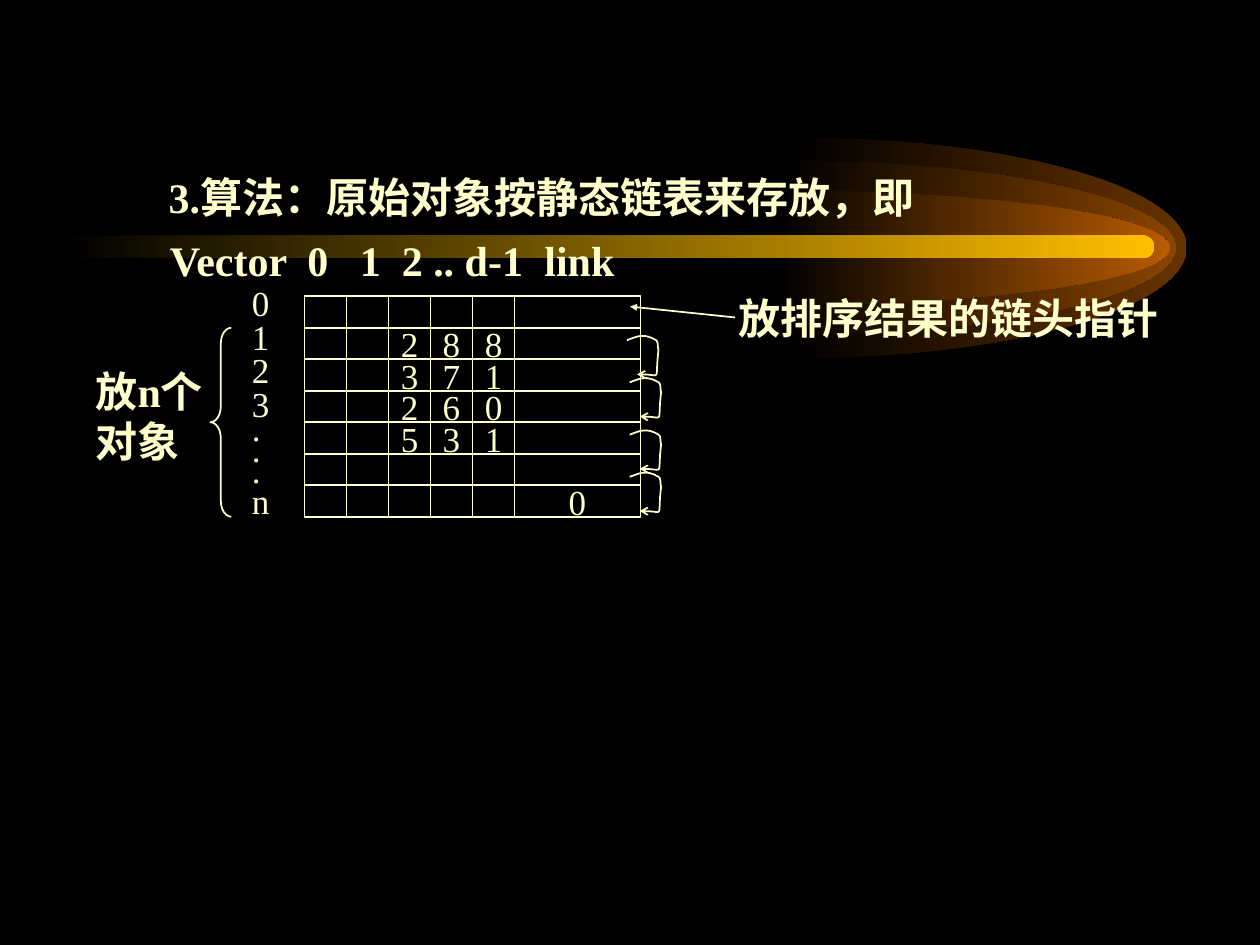
from lxml import etree
from pptx import Presentation
from pptx.dml.color import RGBColor
from pptx.enum.shapes import MSO_CONNECTOR, MSO_SHAPE
from pptx.enum.text import MSO_ANCHOR, MSO_AUTO_SIZE, PP_ALIGN
from pptx.oxml.ns import qn
from pptx.util import Pt

RECT = MSO_SHAPE.RECTANGLE
ROUNDED = MSO_SHAPE.ROUNDED_RECTANGLE
BRACE = MSO_SHAPE.LEFT_BRACE
STRAIGHT = MSO_CONNECTOR.STRAIGHT
GROW = MSO_AUTO_SIZE.SHAPE_TO_FIT_TEXT
MIDDLE = MSO_ANCHOR.MIDDLE
CENTER = PP_ALIGN.CENTER

FONT = "Times New Roman"
COLORS = {
    "back": "000000",
    "ink": "FFFFCC",
    "outer": "663300",
    "middle": "894400",
    "inner": "B75B00",
    "bar": "FFBF00",
}
COLORS = {name: RGBColor.from_string(value) for name, value in COLORS.items()}


def add_run(para, text, size, bold=False):
    span = para.add_run()
    span.text = text
    span.font.name = FONT
    span.font.size = Pt(size)
    span.font.bold = bold
    span.font.color.rgb = COLORS["ink"]


def add_curve(shapes, points, close):
    """Turn each three points after the first into a Bezier curve; a rest stays straight."""
    points = [(Pt(x), Pt(y)) for x, y in points]
    builder = shapes.build_freeform(*points[0])
    builder.add_line_segments(points[1:], close=close)
    shape = builder.convert_to_shape()
    shape.shadow.inherit = False
    lines = list(shape._element.iter(qn("a:lnTo")))
    for start in range(0, len(lines) - 2, 3):
        curve = etree.Element(qn("a:cubicBezTo"))
        lines[start].addprevious(curve)
        for line in lines[start:start + 3]:
            curve.append(line[0])
            line.getparent().remove(line)
    return shape


deck = Presentation()
deck.slide_width, deck.slide_height = Pt(720), Pt(540)
page = deck.slides.add_slide(deck.slide_layouts[6])
page.background.fill.solid()
page.background.fill.fore_color.rgb = COLORS["back"]
shapes = page.shapes
outlined = []

# Comet: three half ellipses and a bar, each fading in from black
comet = []
ROUND, AXIS, REACH = 0.55, 141.6, 225
for left, half, color in [(453, 63, "outer"), (447, 50, "middle"), (443.5, 32.75, "inner")]:
    right = left + REACH
    points = [
        (left, AXIS - half), (left + ROUND * REACH, AXIS - half),
        (right, AXIS - ROUND * half), (right, AXIS),
        (right, AXIS + ROUND * half), (left + ROUND * REACH, AXIS + half),
        (left, AXIS + half), (left, AXIS),
    ]
    comet.append((add_curve(shapes, points, True), color))
bar = shapes.add_shape(ROUNDED, Pt(36), Pt(134.6), Pt(623.5), Pt(13))
bar.adjustments[0] = 0.5
bar.shadow.inherit = False
comet.append((bar, "bar"))
for part, color in comet:
    part.line.fill.background()
    part.fill.gradient()
    part.fill.gradient_angle = 0
    for stop, stop_color, position in zip(part.fill.gradient_stops, ("back", color), (0, 1)):
        stop.color.rgb = COLORS[stop_color]
        stop.position = position

# Heading, column header and side captions
for left, top, width, height, lines, tabs in [
    (89.3, 94.3, 450, 36, ["3.算法：原始对象按静态链表来存放，即"], []),
    (90, 130.3, 277.2, 36, ["Vector\t0\t1\t2 .. d-1\tlink"], [78.5, 108.5, 132.5, 214]),
    (414.7, 163.4, 254.2, 36, ["放排序结果的链头指针"], []),
    (47.5, 205.2, 87.1, 64.8, ["放n个", "对象"], []),
]:
    box = shapes.add_textbox(Pt(left), Pt(top), Pt(width), Pt(height))
    frame = box.text_frame
    frame.word_wrap = bool(tabs)
    frame.auto_size = GROW
    for index, line in enumerate(lines):
        para = frame.add_paragraph() if index else frame.paragraphs[0]
        if tabs:
            tab_list = etree.SubElement(para._p.get_or_add_pPr(), qn("a:tabLst"))
            for stop in tabs:
                etree.SubElement(tab_list, qn("a:tab"), pos=str(Pt(stop)), algn="l")
        add_run(para, line, 24, bold=True)

# Grid of cells: five digit columns and a wide link column
GRID_LEFT, GRID_TOP, CELL, ROW = 174, 169.3, 24, 18
rows = ["", "  288", "  371", "  260", "  531", "", "     0"]
for row, digits in enumerate(rows):
    for column, digit in enumerate(digits.ljust(6)):
        width = 3 * CELL if column == 5 else CELL
        cell = shapes.add_shape(
            RECT, Pt(GRID_LEFT + column * CELL), Pt(GRID_TOP + row * ROW), Pt(width), Pt(ROW))
        cell.shadow.inherit = False
        outlined.append(cell)
        if digit.strip():
            frame = cell.text_frame
            frame.word_wrap = False
            frame.vertical_anchor = MIDDLE
            frame.paragraphs[0].alignment = CENTER
            add_run(frame.paragraphs[0], digit, 20)

# Row labels
box = shapes.add_textbox(Pt(136.8), Pt(162), Pt(24.5), Pt(139.7))
frame = box.text_frame
frame.word_wrap = False
frame.auto_size = GROW
for index, label in enumerate("0123...n"):
    para = frame.add_paragraph() if index else frame.paragraphs[0]
    para.line_spacing = 0.5 if label == "." else 0.8
    add_run(para, label, 20)

# Link arrows from one row to the next
hook = [
    (0, 4.3), (5.8, 2.2), (9.4, 0), (16.6, 4.3), (18, 5), (17.3, 7.9), (18, 10.1),
    (15.8, 27.4), (20.9, 23.8), (5.8, 23.8),
]
arrows = []
for left, top in [(358.3, 190.1), (359.8, 214.2), (359.8, 244.1), (359.8, 268.2)]:
    link = add_curve(shapes, [(left + x, top + y) for x, y in hook], False)
    outlined.append(link)
    arrows.append((link, "arrow"))

# Pointer to the head of the list
pointer = shapes.add_connector(STRAIGHT, Pt(420), Pt(181.4), Pt(360), Pt(175.2))
etree.SubElement(pointer._element.spPr, qn("a:effectLst"))
arrows.append((pointer, "triangle"))

# Brace around the n objects
brace = shapes.add_shape(BRACE, Pt(120.2), Pt(GRID_TOP + ROW), Pt(12), Pt(6 * ROW))
brace.adjustments[0] = 0.75
brace.shadow.inherit = False
outlined.append(brace)

# Outlines and arrowheads
for shape in outlined:
    shape.fill.background()
for shape in outlined + [pointer]:
    shape.line.color.rgb = COLORS["ink"]
    shape.line.width = Pt(1)
for shape, head in arrows:
    line_xml = shape._element.spPr.find(qn("a:ln"))
    etree.SubElement(line_xml, qn("a:tailEnd"), type=head, w="sm", len="sm")

deck.save("out.pptx")
